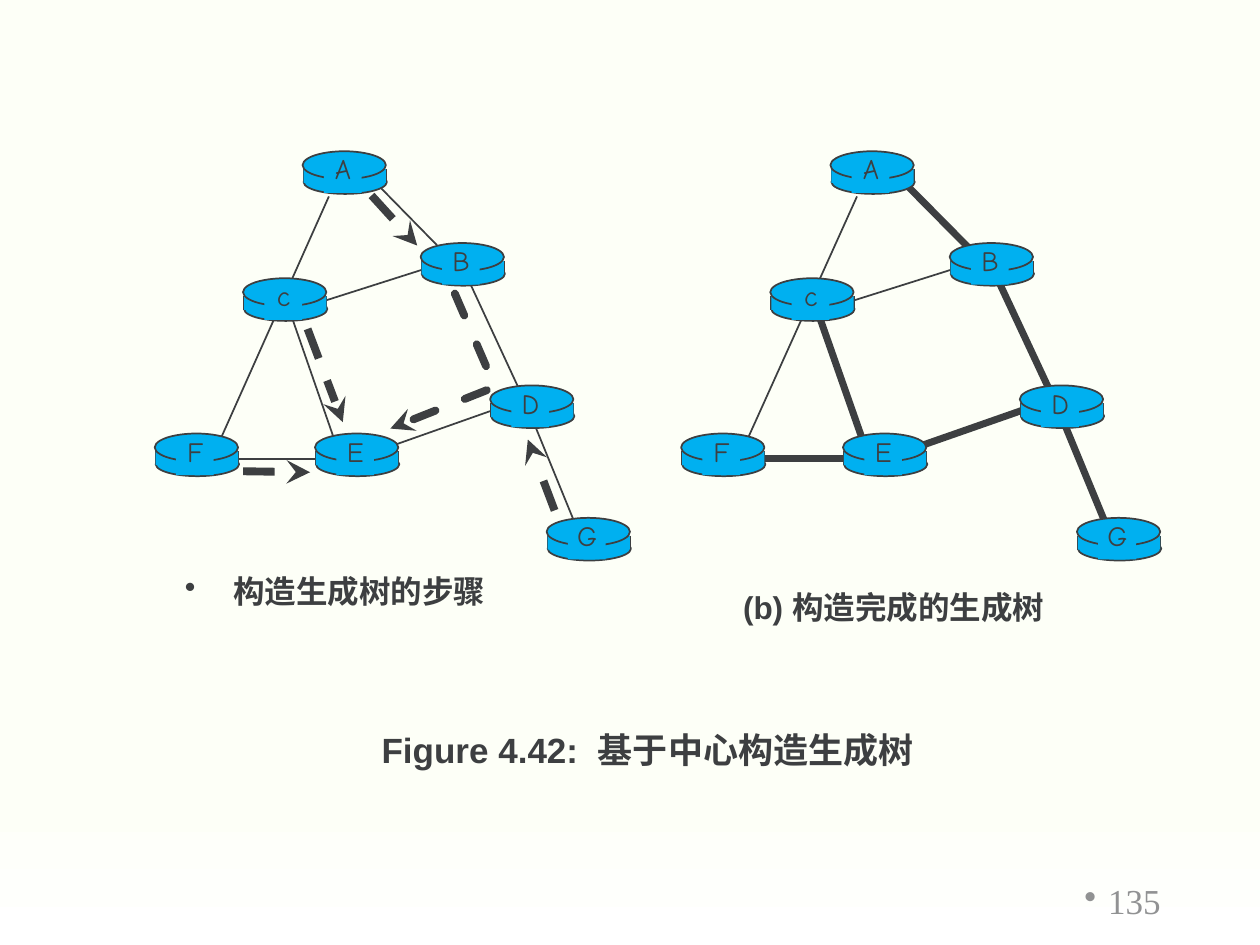
from pptx import Presentation
from pptx.dml.color import RGBColor
from pptx.enum.dml import MSO_LINE
from pptx.enum.shapes import MSO_CONNECTOR, MSO_SHAPE
from pptx.enum.text import MSO_ANCHOR, MSO_AUTO_SIZE, PP_ALIGN
from pptx.oxml.ns import qn
from pptx.util import Cm, Pt
from lxml.etree import SubElement

COLORS = {"ink": "3D3F41", "disc": "00B0F0", "number": "919293",
          "cream": "FDFFF7", "white": "FFFFFF"}

NODES = {"A": (6.1, 3.05), "B": (8.48, 4.9), "G": (11.02, 10.44), "D": (9.88, 7.77),
         "E": (6.35, 8.74), "c": (4.9, 5.61), "F": (3.12, 8.74)}
TREE_EDGES = [(9.35, 5.44, 10.49, 7.9), (10.54, 7.98, 11.68, 10.77),
              (9.96, 8.26, 7.95, 8.97), (6.86, 9.25, 4.39, 9.25),
              (6.76, 8.92, 5.84, 6.27), (7.62, 3.73, 9.09, 5.23)]
OTHER_EDGES = [(6.43, 6.1, 8.69, 5.38), (6.63, 3.96, 4.37, 9.02)]
STEPS = [(4.9, 9.5, 6.25, 9.52), (7.49, 3.94, 8.41, 4.95),
         (6.2, 6.63, 6.91, 8.51), (11.18, 10.29, 10.64, 8.86)]
STEP_VIA_D = [(9.17, 5.92), (9.98, 7.8), (7.87, 8.64)]


class SlideBuilder:
    """Holds the style, the slide and the container that receives new shapes."""

    def __init__(self, slide):
        self.slide = slide
        self.shapes = slide.shapes

    def color(self, name):
        return RGBColor.from_string(COLORS[name])

    def background(self):
        fill = self.slide.background.fill
        fill.gradient()
        fill.gradient_angle = 270
        for stop, name, position in zip(fill.gradient_stops, ("cream", "white"), (0.84, 1)):
            stop.color.rgb = self.color(name)
            stop.position = position

    def outline(self, line, width):
        line.color.rgb = self.color("ink")
        line.width = Pt(width)

    def arrow_style(self, shape):
        self.outline(shape.line, 4.5)
        shape.line.dash_style = MSO_LINE.DASH
        line_element = shape._element.spPr.find(qn("a:ln"))
        SubElement(line_element, qn("a:tailEnd"), type="stealth")
        return line_element

    def line(self, x1, y1, x2, y2, width=1, arrow=False):
        connector = self.shapes.add_connector(
            MSO_CONNECTOR.STRAIGHT, Cm(x1), Cm(y1), Cm(x2), Cm(y2))
        if arrow:
            self.arrow_style(connector)
        else:
            self.outline(connector.line, width)
        SubElement(connector._element.spPr, qn("a:effectLst"))

    def bent_arrow(self, points):
        start, *others = [(Cm(x), Cm(y)) for x, y in points]
        builder = self.shapes.build_freeform(*start)
        builder.add_line_segments(others, close=False)
        shape = builder.convert_to_shape()
        shape.shadow.inherit = False
        shape.fill.background()
        self.arrow_style(shape).set("cap", "rnd")

    def solid(self, kind, left, top, width, height):
        shape = self.shapes.add_shape(kind, Cm(left), Cm(top), Cm(width), Cm(height))
        shape.shadow.inherit = False
        shape.fill.solid()
        shape.fill.fore_color.rgb = self.color("disc")
        if kind == MSO_SHAPE.OVAL:
            self.outline(shape.line, 1)
        else:
            shape.line.fill.background()

    def set_text(self, shape, text, size, font="Arial", color="ink", bold=False,
                 align=PP_ALIGN.LEFT, anchor=MSO_ANCHOR.TOP, wrap=True, indent=0, bullet=False):
        frame = shape.text_frame
        frame.text = text
        frame.auto_size = MSO_AUTO_SIZE.NONE
        frame.word_wrap = wrap
        frame.vertical_anchor = anchor
        paragraph = frame.paragraphs[0]
        paragraph.alignment = align
        if indent:
            properties = paragraph._p.get_or_add_pPr()
            properties.set("marL", str(Cm(indent)))
            properties.set("indent", str(-Cm(indent)))
            if bullet:
                SubElement(properties, qn("a:buChar"), char="•")
        for run in paragraph.runs:
            run.font.name = font
            run.font.size = Pt(size)
            run.font.bold = bold
            run.font.color.rgb = self.color(color)

    def text(self, text, left, top, width, height, size, **style):
        box = self.shapes.add_textbox(Cm(left), Cm(top), Cm(width), Cm(height))
        self.set_text(box, text, size, **style)

    def title(self, text, left, top, width, height, size, **style):
        title = self.slide.shapes.title
        title.left, title.top, title.width, title.height = map(Cm, (left, top, width, height))
        self.set_text(title, text, size, **style)

    def node(self, name, left, top):
        self.solid(MSO_SHAPE.OVAL, left + 0.02, top + 0.38, 1.68, 0.48)
        for x in (left + 0.02, left + 1.68):
            self.line(x, top + 0.36, x, top + 0.64)
        self.solid(MSO_SHAPE.RECTANGLE, left + 0.02, top + 0.36, 1.66, 0.28)
        self.solid(MSO_SHAPE.OVAL, left, top, 1.68, 0.56)
        self.solid(MSO_SHAPE.RECTANGLE, left + 0.43, top + 0.08, 0.76, 0.76)
        self.text(name, left + 0.36, top - 0.11, 0.91, 0.94, 16, font="Comic Neue",
                  align=PP_ALIGN.CENTER, wrap=False)

    def graph(self, tree_width, scale=1, shift=0, steps=False):
        self.shapes = self.slide.shapes.add_group_shape().shapes
        for edges, width in ((TREE_EDGES, tree_width), (OTHER_EDGES, 1)):
            for x1, y1, x2, y2 in edges:
                self.line(x1 * scale + shift, y1, x2 * scale + shift, y2, width)
        for name, (left, top) in NODES.items():
            self.node(name, left * scale + shift, top)
        if steps:
            for step in STEPS:
                self.line(*step, arrow=True)
            self.bent_arrow(STEP_VIA_D)
        self.shapes = self.slide.shapes


def main():
    presentation = Presentation()
    presentation.slide_width, presentation.slide_height = Cm(25.4), Cm(19.05)
    builder = SlideBuilder(presentation.slides.add_slide(presentation.slide_layouts[5]))
    builder.background()
    builder.title("Figure 4.42:  基于中心构造生成树", 6.78, 14.55, 12.55, 1.09, 20,
                  bold=True, align=PP_ALIGN.CENTER)
    builder.graph(tree_width=1, steps=True)
    builder.text("构造生成树的步骤", 3.48, 11.4, 8.41, 1.02, 18,
                 bold=True, indent=0.97, bullet=True)
    builder.graph(tree_width=4, scale=1.01, shift=10.58)
    builder.text("(b) 构造完成的生成树", 14.73, 11.73, 8.41, 1.02, 18, bold=True, indent=0.97)
    builder.text("135", 17.93, 17.65, 5.72, 1.02, 20, font="Times New Roman", color="number",
                 align=PP_ALIGN.RIGHT, anchor=MSO_ANCHOR.MIDDLE, indent=0.48, bullet=True)
    presentation.save("out.pptx")


if __name__ == "__main__":
    main()
